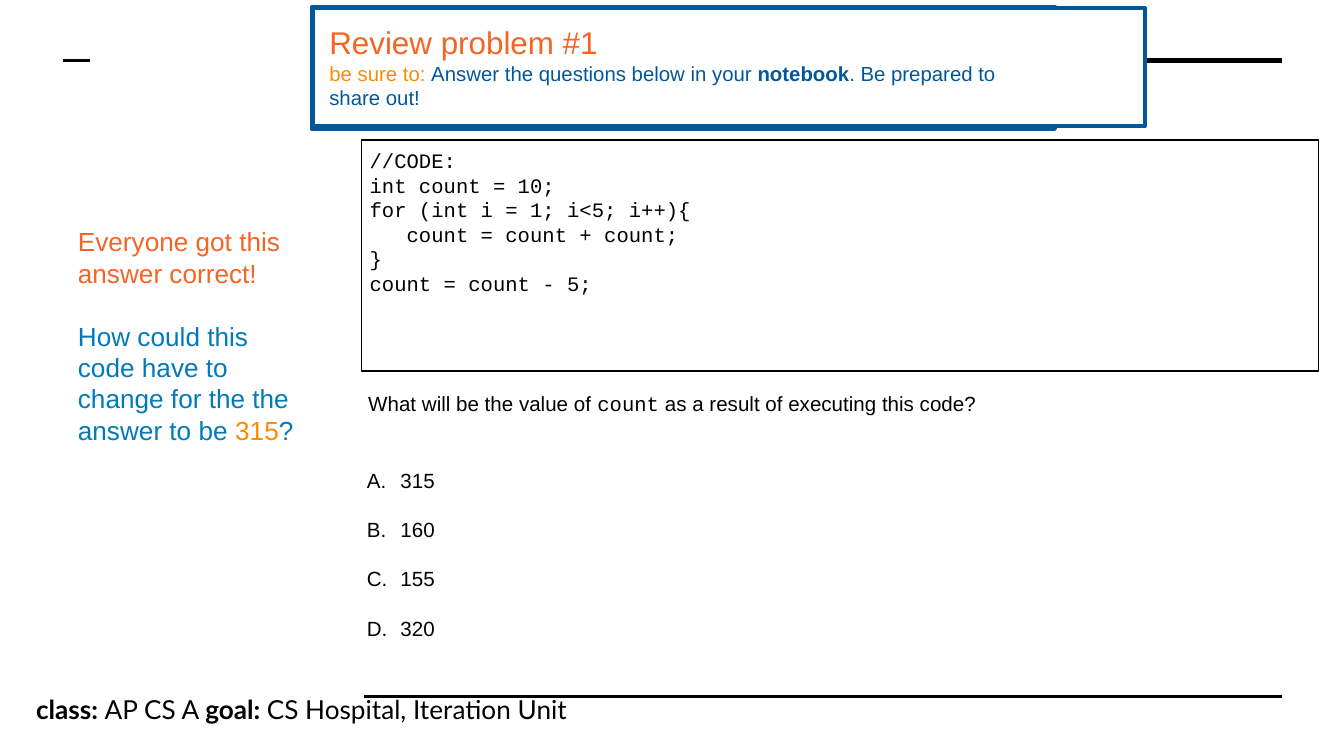
from lxml import etree
from pptx import Presentation
from pptx.dml.color import RGBColor
from pptx.enum.shapes import MSO_CONNECTOR, MSO_SHAPE
from pptx.enum.text import MSO_ANCHOR, MSO_AUTO_SIZE, PP_ALIGN
from pptx.oxml.ns import qn
from pptx.util import Inches, Pt

STRAIGHT = MSO_CONNECTOR.STRAIGHT
RECTANGLE = MSO_SHAPE.RECTANGLE
TOP, MIDDLE = MSO_ANCHOR.TOP, MSO_ANCHOR.MIDDLE
NO_AUTOFIT = MSO_AUTO_SIZE.NONE
LEFT = PP_ALIGN.LEFT

COLORS = {
    "black": "000000",
    "white": "FFFFFF",
    "navy": "01579B",
    "blue": "007ABA",
    "red": "F46524",
    "orange": "FB8C00",
}
LEADING = 1.2
TITLE_ONLY = 5


def rgb(name):
    return RGBColor.from_string(COLORS[name])


def set_font(font, size=None, name=None, color=None, bold=None):
    if size:
        font.size = Pt(size)
    if name:
        font.name = name
    if color:
        font.color.rgb = rgb(color)
    if bold is not None:
        font.bold = bold


def add_run(paragraph, text, **style):
    run = paragraph.add_run()
    run.text = text
    set_font(run.font, **style)


def set_frame(frame, inset, anchor=TOP):
    frame.word_wrap = True
    frame.auto_size = NO_AUTOFIT
    frame.vertical_anchor = anchor
    frame.margin_left = frame.margin_right = Inches(inset)
    frame.margin_top = frame.margin_bottom = Inches(inset)


def add_text_frame(slide, left, top, width, height, inset):
    shape = slide.shapes.add_textbox(Inches(left), Inches(top), Inches(width), Inches(height))
    set_frame(shape.text_frame, inset)
    return shape.text_frame


def add_paragraphs(frame, count, size, font, color="black", gap=0):
    paragraphs = [frame.paragraphs[0]] + [frame.add_paragraph() for _ in range(count - 1)]
    for index, paragraph in enumerate(paragraphs):
        paragraph.alignment = LEFT
        paragraph.line_spacing = Pt(size * LEADING)
        if index and gap:
            paragraph.space_before = Pt(gap)
        set_font(paragraph.font, size, font, color)
    return paragraphs


def add_box(slide, left, top, width, height, line, weight, fill=None):
    shape = slide.shapes.add_shape(
        RECTANGLE, Inches(left), Inches(top), Inches(width), Inches(height))
    shape.shadow.inherit = False
    shape.line.color.rgb = rgb(line)
    shape.line.width = Pt(weight)
    if fill:
        shape.fill.solid()
        shape.fill.fore_color.rgb = rgb(fill)
    else:
        shape.fill.background()
    return shape


def add_rules(slide):
    for start, end, y, weight in (
        (2.71, 9.54, 0.45, 3),
        (2.71, 9.54, 5.18, 1.5),
        (0.47, 0.67, 0.45, 1.5),
    ):
        rule = slide.shapes.add_connector(
            STRAIGHT, Inches(start), Inches(y), Inches(end), Inches(y))
        rule.line.color.rgb = rgb("black")
        rule.line.width = Pt(weight)
        etree.SubElement(rule.element.spPr, qn("a:effectLst"))


def add_footer(slide, left, top, width, height):
    paragraph = add_text_frame(slide, left, top, width, height, 0.1).paragraphs[0]
    set_font(paragraph.font, 14, "Lato", "black")
    for label, value in (("class: ", "AP CS A "), ("goal: ", "CS Hospital, Iteration Unit")):
        add_run(paragraph, label, bold=True)
        add_run(paragraph, value)


def add_header(slide, left, top, width, height):
    add_box(slide, left, top, 5.53, height, "navy", 2)
    panel = add_box(slide, left + 0.01, top + 0.01, width, height - 0.03, "navy", 2, "white")
    title = slide.shapes.title
    panel.element.addnext(title.element)
    title.left, title.top = Inches(left + 0.03), Inches(top + 0.02)
    title.width, title.height = Inches(width - 0.04), Inches(height - 0.06)
    frame = title.text_frame
    set_frame(frame, 0.1, MIDDLE)
    heading, instruction = frame.paragraphs[0], frame.add_paragraph()
    for paragraph, size, color in ((heading, 16.8, "red"), (instruction, 10.9, "navy")):
        paragraph.alignment = LEFT
        paragraph.space_before = Pt(0)
        set_font(paragraph.font, size, "Arial", color)
    add_run(heading, "Review problem #1")
    add_run(instruction, "be sure to: ", color="orange")
    add_run(instruction, "Answer the questions below in your ")
    add_run(instruction, "notebook", bold=True)
    add_run(instruction, ". Be prepared to ")
    instruction.add_line_break()
    add_run(instruction, "share out!")


def add_side_note(slide, left, top, width, height):
    frame = add_text_frame(slide, left, top, width, height, 0)
    praise, challenge = add_paragraphs(frame, 2, 14, "Arial", "blue", gap=14 * LEADING)
    set_font(praise.font, color="red")
    add_run(praise, "Everyone got this answer correct!")
    add_run(challenge, "How could this code have to change for the the answer to be ")
    add_run(challenge, "315", color="orange")
    add_run(challenge, "?")


def add_code(slide, left, top, width, height):
    lines = (
        "//CODE:",
        "int count = 10;",
        "for (int i = 1; i<5; i++){",
        "   count = count + count;",
        "}",
        "count = count - 5;",
    )
    frame = add_box(slide, left, top, width, height, "black", 1).text_frame
    set_frame(frame, 0.06)
    for paragraph, line in zip(add_paragraphs(frame, len(lines), 11, "Courier New"), lines):
        add_run(paragraph, line)


def add_question(slide, left, top, width, height):
    frame = add_text_frame(slide, left, top, width, height, 0.06)
    paragraph = add_paragraphs(frame, 1, 11, "Arial")[0]
    add_run(paragraph, "What will be the value of ")
    add_run(paragraph, "count", name="Courier New")
    add_run(paragraph, " as a result of executing this code?")


def add_answers(slide, left, top, width, height):
    answers = ("315", "160", "155", "320")
    frame = add_text_frame(slide, left, top, width, height, 0.06)
    for _ in answers[1:]:
        frame.add_paragraph()
    for index, (paragraph, answer) in enumerate(zip(frame.paragraphs, answers)):
        properties = paragraph._p.get_or_add_pPr()
        properties.set("marL", str(Inches(0.25)))
        properties.set("indent", str(-Inches(0.25)))
        etree.SubElement(properties, qn("a:buFont"), typeface="Arial")
        etree.SubElement(properties, qn("a:buAutoNum"), type="alphaUcPeriod")
        paragraph.line_spacing = Pt(11 * LEADING)
        if index:
            paragraph.space_before = Pt(11 * LEADING)
        set_font(paragraph.font, 11, "Arial", "black")
        add_run(paragraph, answer)


def main():
    presentation = Presentation()
    presentation.slide_width = Inches(10)
    presentation.slide_height = Inches(10) * 9 // 16
    slide = presentation.slides.add_slide(presentation.slide_layouts[TITLE_ONLY])
    add_rules(slide)
    add_footer(slide, 0.17, 5.06, 9.35, 0.63)
    add_header(slide, 2.32, 0.05, 6.19, 0.91)
    add_side_note(slide, 0.58, 1.68, 1.74, 1.65)
    add_code(slide, 2.69, 1.04, 7.12, 1.72)
    add_question(slide, 2.68, 2.85, 7.15, 0.29)
    add_answers(slide, 2.67, 3.42, 1.64, 1.38)
    presentation.save("out.pptx")


if __name__ == "__main__":
    main()
